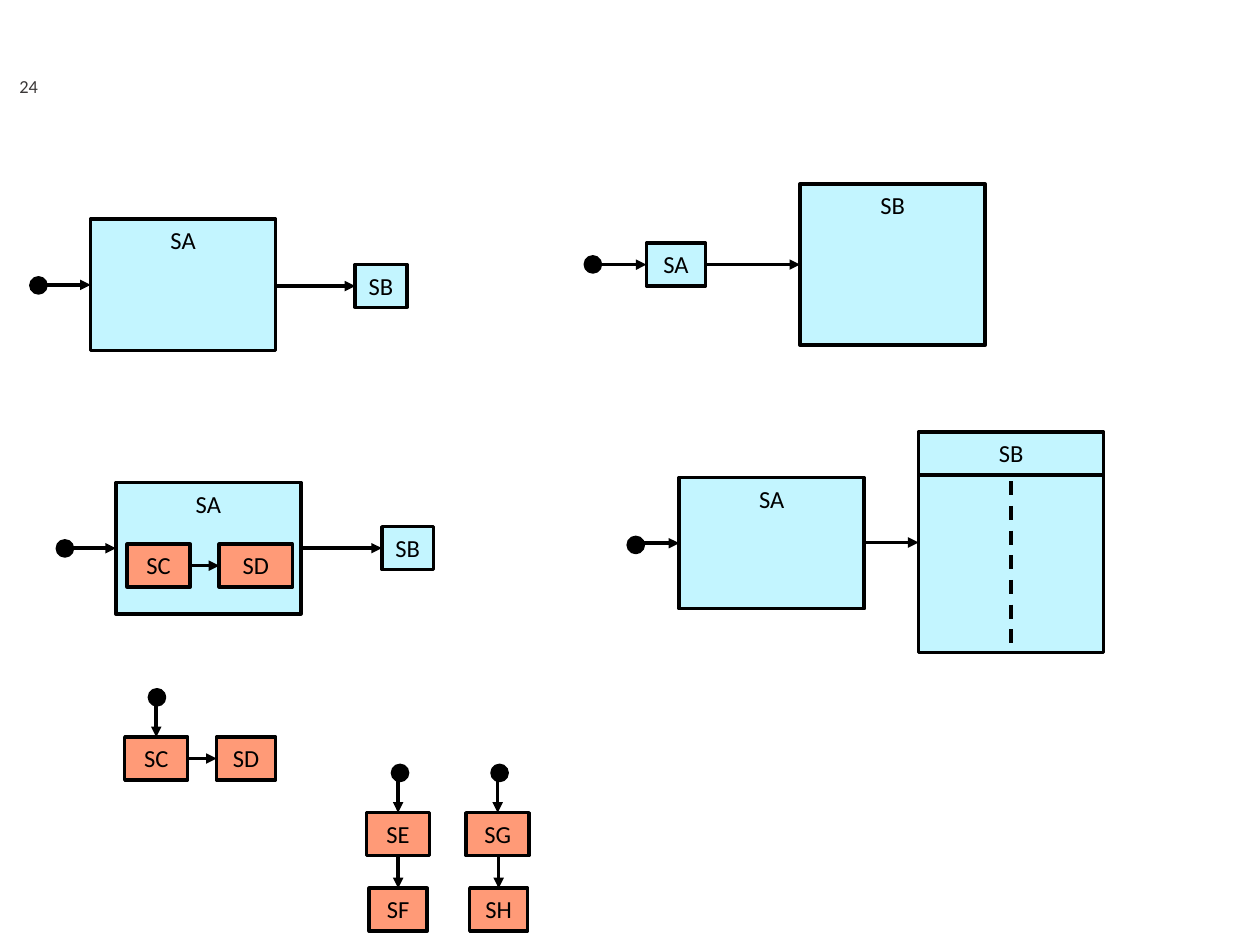
from lxml import etree
from pptx import Presentation
from pptx.dml.color import RGBColor
from pptx.enum.dml import MSO_LINE
from pptx.enum.shapes import MSO_CONNECTOR, MSO_SHAPE
from pptx.enum.text import MSO_ANCHOR, PP_ALIGN
from pptx.oxml.ns import qn
from pptx.util import Pt

BLACK, BLUE, ORANGE, GREY = "000000", "C3F5FF", "FF9A77", "3B3838"
FONT = "Calibri"
DOT = 9.4                # diameter of an initial state
WIDE, TALL = 105.8, 75   # composite state
LOW = 24.5               # height of a simple state


def rgb(value):
    return RGBColor.from_string(value)


def add_line(g, x1, y1, x2, y2):
    c = g.shapes.add_connector(MSO_CONNECTOR.STRAIGHT, Pt(x1), Pt(y1), Pt(x2), Pt(y2))
    c.line.color.rgb = rgb(BLACK)
    c.line.width = Pt(2)
    etree.SubElement(c._element.spPr, qn("a:effectLst"))
    return c


# Each diagram: initial dot (left, top), states (text, left, top, width,
# height, fill), arrows (from, to) where 0 is the dot and states count from 1.
diagrams = [
    ((17.3, 158.4),
     [("SA", 51.8, 125.3, WIDE, TALL, BLUE), ("SB", 203, 151.2, 29.5, LOW, BLUE)],
     [(0, 1), (1, 2)]),
    ((334.1, 146.4),
     [("SA", 369.4, 139, 33.8, LOW, BLUE), ("SB", 457.2, 105.1, WIDE, 92.2, BLUE)],
     [(0, 1), (1, 2)]),
    ((32.4, 308.7),
     [("SA", 66.2, 275.8, WIDE, TALL, BLUE), ("SC", 72.7, 311, 36, LOW, ORANGE),
      ("SD", 125.3, 311, 41.8, LOW, ORANGE), ("SB", 218.2, 301, 29.5, LOW, BLUE)],
     [(0, 1), (2, 3), (1, 4)]),
    ((85, 393.8),
     [("SC", 71.3, 421.2, 36, LOW, ORANGE), ("SD", 123.8, 421.2, 33.8, LOW, ORANGE)],
     [(0, 1), (1, 2)]),
    ((223.9, 437),
     [("SE", 209.5, 464.4, 36, LOW, ORANGE), ("SF", 211, 507.6, 33.1, LOW, ORANGE)],
     [(0, 1), (1, 2)]),
    ((280.8, 437),
     [("SG", 266.4, 464.4, 36, LOW, ORANGE), ("SH", 268.4, 507.6, 33.1, LOW, ORANGE)],
     [(0, 1), (1, 2)]),
    ((358.6, 306.7),
     [("SA", 388.1, 272.9, WIDE, TALL, BLUE), ("", 524.9, 247, WIDE, 126, BLUE),
      ("SB", 524.9, 247, WIDE, LOW, BLUE)],
     [(0, 1), (1, 2)]),
]

prs = Presentation()
prs.slide_width, prs.slide_height = Pt(720), Pt(540)
s = prs.slides.add_slide(prs.slide_layouts[6])

# Page number
tb = s.shapes.add_textbox(Pt(0), Pt(34.6), Pt(28.8), Pt(28.8))
tf = tb.text_frame
tf.word_wrap = True
tf.vertical_anchor = MSO_ANCHOR.MIDDLE
p = tf.paragraphs[0]
p.alignment = PP_ALIGN.RIGHT
r = p.add_run()
r.text = "24"
r.font.name, r.font.size = FONT, Pt(10.5)
r.font.color.rgb = rgb(GREY)

# State diagrams
for (dot_x, dot_y), states, arrows in diagrams:
    g = s.shapes.add_group_shape()
    nodes = [("", dot_x, dot_y, DOT, DOT, BLACK)] + states
    for i, (text, x, y, w, h, fill) in enumerate(nodes):
        kind = MSO_SHAPE.RECTANGLE if i else MSO_SHAPE.OVAL
        sp = g.shapes.add_shape(kind, Pt(x), Pt(y), Pt(w), Pt(h))
        sp.shadow.inherit = False
        sp.fill.solid()
        sp.fill.fore_color.rgb = rgb(fill)
        sp.line.color.rgb = rgb(BLACK)
        sp.line.width = Pt(2 if i else 1.25)
        if text:
            tf = sp.text_frame
            tf.word_wrap = False
            tf.vertical_anchor = MSO_ANCHOR.TOP
            p = tf.paragraphs[0]
            p.alignment = PP_ALIGN.CENTER
            r = p.add_run()
            r.text = text
            r.font.name, r.font.size = FONT, Pt(14)
            r.font.color.rgb = rgb(BLACK)

    for start, end in arrows:
        _, x1, y1, w1, h1, _ = nodes[start]
        _, x2, y2, w2, h2, _ = nodes[end]
        if y2 >= y1 + h1:   # the target is below
            mid = x2 + w2 / 2
            c = add_line(g, mid, y1 + h1, mid, y2)
        else:               # the target is to the right
            mid = y2 + h2 / 2
            c = add_line(g, x1 + w1, mid, x2, mid)
        etree.SubElement(c.line._get_or_add_ln(), qn("a:tailEnd"), type="triangle")

# Divider between the two regions of the last diagram's SB
divider = add_line(g, 577.8, 275, 577.8, 373)
divider.line.dash_style = MSO_LINE.DASH

prs.save("out.pptx")
